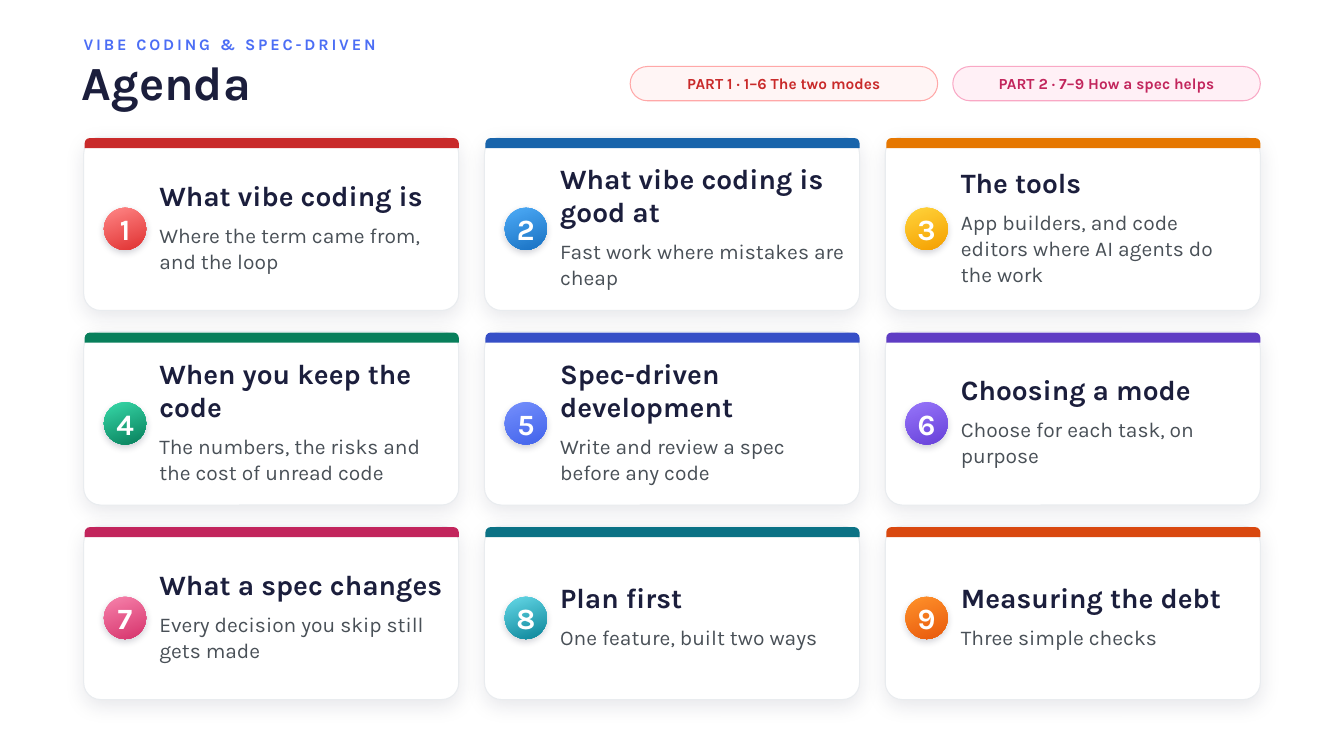
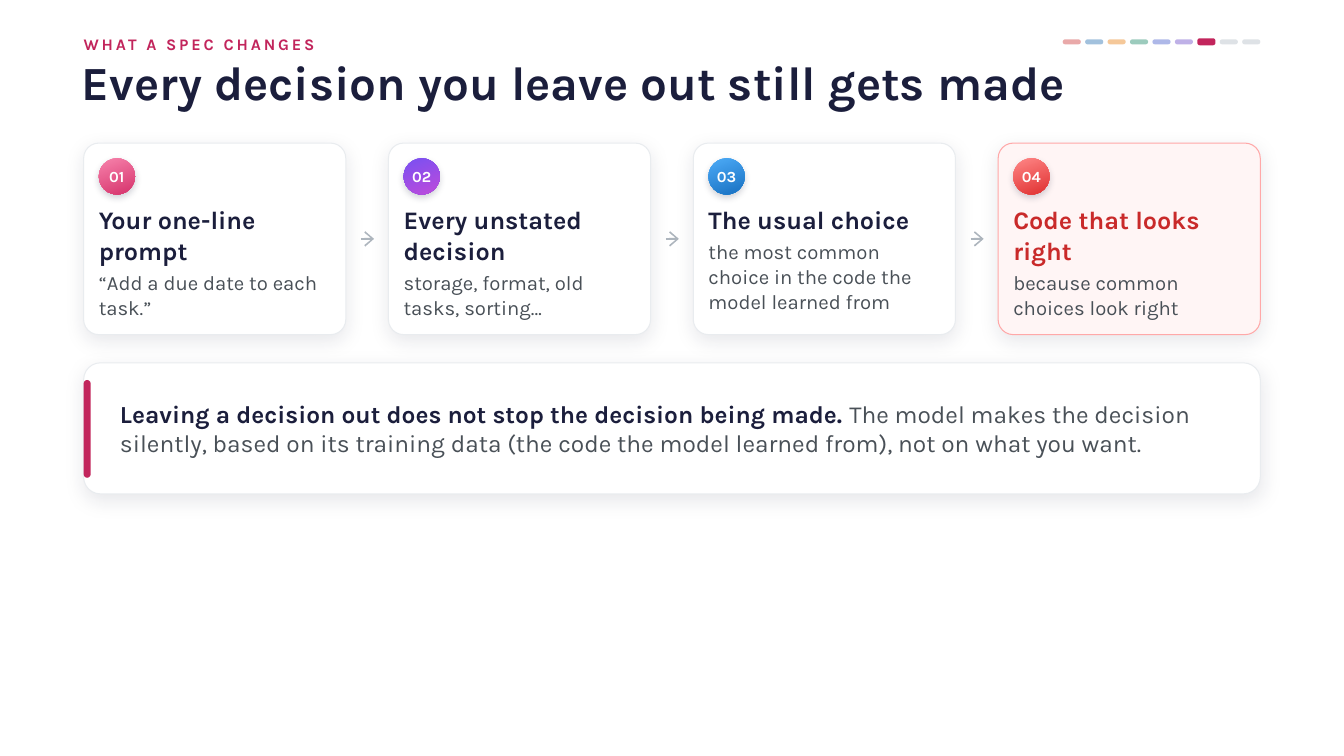
"""Build the agenda slide and the slide about decisions a spec leaves out."""
from collections import namedtuple

from lxml import etree
from pptx import Presentation
from pptx import util as u
from pptx.dml.color import RGBColor
from pptx.enum import shapes, text
from pptx.oxml.ns import qn

FONT = "Karla"
INK, GREY, WHITE = "1B1E3C", "495057", "FFFFFF"
EDGE, IDLE, ARROW = "E9ECEF", "DEE2E6", "ADB5BD"
ACCENT, PINK, RED = "4C6EF5", "C2255C", "C92A2A"
RED_TINT, RED_EDGE, PINK_TINT, PINK_EDGE = "FFF5F5", "FFA8A8", "FFF0F6", "F9A8C5"
LEFT, WIDTH = 0.83, 11.67
CARD_SHADOW = (10, 14, 4)
BADGE_SHADOW = (20, 5, 2)
SHAPE = shapes.MSO_SHAPE
ANCHOR = text.MSO_ANCHOR
CENTER = text.PP_ALIGN.CENTER

Topic = namedtuple("Topic", "title note bar light dark")
Step = namedtuple("Step", "title note light dark color fill edge", defaults=(INK, WHITE, EDGE))

TOPICS = [
    Topic("What vibe coding is", "Where the term came from, and the loop",
          RED, "FF8787", "E03131"),
    Topic("What vibe coding is good at", "Fast work where mistakes are cheap",
          "1864AB", "4DABF7", "1971C2"),
    Topic("The tools", "App builders, and code editors where AI agents do the work",
          "E67700", "FFD43B", "F59F00"),
    Topic("When you keep the code", "The numbers, the risks and the cost of unread code",
          "087F5B", "38D9A9", "087F5B"),
    Topic("Spec-driven development", "Write and review a spec before any code",
          "364FC7", "748FFC", "4263EB"),
    Topic("Choosing a mode", "Choose for each task, on purpose",
          "5F3DC4", "9775FA", "6741D9"),
    Topic("What a spec changes", "Every decision you skip still gets made",
          PINK, "F783AC", "D6336C"),
    Topic("Plan first", "One feature, built two ways",
          "0B7285", "66D9E8", "0C8599"),
    Topic("Measuring the debt", "Three simple checks",
          "D9480F", "FF922B", "E8590C"),
]

PARTS = [
    ("PART 1 · 1–6 The two modes", RED, RED_TINT, RED_EDGE),
    ("PART 2 · 7–9 How a spec helps", PINK, PINK_TINT, PINK_EDGE),
]

STEPS = [
    Step("Your one-line prompt", "“Add a due date to each task.”", "F783AC", "D6336C"),
    Step("Every unstated decision", "storage, format, old tasks, sorting…", "7950F2", "BE4BDB"),
    Step("The usual choice", "the most common choice in the code the model learned from",
         "4DABF7", "1971C2"),
    Step("Code that looks right", "because common choices look right",
         "FF8787", "E03131", RED, RED_TINT, RED_EDGE),
]


def rgb(code):
    """Turn a hex string into a colour."""
    return RGBColor.from_string(code)


def inches(*lengths):
    """Turn numbers into lengths in inches."""
    return [u.Inches(length) for length in lengths]


def spread(count, size, start=LEFT, total=WIDTH):
    """Give the starts of equal items that fill a span with equal gaps."""
    pitch = (total - size) / (count - 1)
    return [start + index * pitch for index in range(count)]


def style(span, size, color, bold=True):
    """Format one run."""
    span.font.name = FONT
    span.font.size = u.Pt(size)
    span.font.bold = bold
    span.font.color.rgb = rgb(color)


def set_frame(frame, anchor=ANCHOR.MIDDLE):
    """Remove the insets of a text frame, wrap it and anchor it."""
    frame.margin_left = frame.margin_right = frame.margin_top = frame.margin_bottom = 0
    frame.word_wrap = True
    frame.auto_size = text.MSO_AUTO_SIZE.NONE
    frame.vertical_anchor = anchor


def write(para, words, size, color, bold=True, spacing=None, before=None):
    """Fill a paragraph with one formatted run."""
    para.text = words
    style(para.runs[0], size, color, bold)
    if spacing is not None:
        para.line_spacing = spacing
    if before is not None:
        para.space_before = u.Pt(before)


def add_box(page, place, anchor=ANCHOR.MIDDLE):
    """Add an empty text box and return its frame."""
    frame = page.shapes.add_textbox(*inches(*place)).text_frame
    set_frame(frame, anchor)
    return frame


def add_shadow(shape, opacity, blur, distance):
    """Give a shape a soft shadow that falls straight down."""
    effects = shape._element.spPr.find(qn("a:effectLst"))
    shadow = etree.SubElement(effects, qn("a:outerShdw"), blurRad=str(u.Pt(blur)),
                              dist=str(u.Pt(distance)), dir="5400000",
                              algn="ctr", rotWithShape="0")
    tint = etree.SubElement(shadow, qn("a:srgbClr"), val=INK)
    etree.SubElement(tint, qn("a:alpha"), val=str(opacity * 1000))


def add_form(page, kind, place, fill=None, edge=None, adjust=()):
    """Add a preset shape with a plain fill and an optional outline."""
    shape = page.shapes.add_shape(kind, *inches(*place))
    shape.shadow.inherit = False
    for index, value in enumerate(adjust):
        shape.adjustments[index] = value
    if fill:
        shape.fill.solid()
        shape.fill.fore_color.rgb = rgb(fill)
    if edge:
        shape.line.color.rgb = rgb(edge)
        shape.line.width = u.Pt(0.75)
    else:
        shape.line.fill.background()
    return shape


def add_card(page, place, fill=WHITE, edge=EDGE):
    """Add a rounded card with a shadow and a fixed corner radius."""
    radius = 0.167 / min(place[2:]) if place[3] > 1.8 or place[2] < 4 else 0.128
    card = add_form(page, SHAPE.ROUNDED_RECTANGLE, place, fill, edge, [radius * 0.9 if place[3] > 1.8 else radius])
    add_shadow(card, *CARD_SHADOW)


def add_label(shape, words, size, color):
    """Put a centred label in a shape."""
    set_frame(shape.text_frame)
    para = shape.text_frame.paragraphs[0]
    write(para, words, size, color)
    para.alignment = CENTER


def add_badge(page, left, top, diameter, words, size, light, dark):
    """Add a round numbered badge with a gradient."""
    badge = add_form(page, SHAPE.OVAL, (left, top, diameter, diameter))
    badge.fill.gradient()
    badge.fill.gradient_angle = 290
    for stop, code, position in zip(badge.fill.gradient_stops, (light, dark), (0, 1)):
        stop.color.rgb = rgb(code)
        stop.position = position
    add_shadow(badge, *BADGE_SHADOW)
    add_label(badge, words, size, WHITE)


def add_arrow(page, left, top):
    """Add a short arrow that points right."""
    arrow = page.shapes.add_connector(shapes.MSO_CONNECTOR.STRAIGHT,
                                      *inches(left, top, left + 0.13, top))
    arrow.line.color.rgb = rgb(ARROW)
    arrow.line.width = u.Pt(1.32)
    etree.SubElement(arrow.line._get_or_add_ln(), qn("a:tailEnd"),
                     type="arrow", w="lg", len="med")
    etree.SubElement(arrow._element.spPr, qn("a:effectLst"))


def add_page(deck, title, eyebrow, color):
    """Add a slide with its title and the spaced line above it."""
    page = deck.slides.add_slide(deck.slide_layouts.get_by_name("Title Only"))
    heading = page.shapes.title
    heading.left, heading.top, heading.width, heading.height = inches(0.81, 0.54, 11.69, 0.6)
    set_frame(heading.text_frame)
    para = heading.text_frame.paragraphs[0]
    write(para, title, 34, INK, spacing=0.9)
    para.alignment = text.PP_ALIGN.LEFT
    para = add_box(page, (LEFT, 0.32, 9.03, 0.24)).paragraphs[0]
    write(para, eyebrow, 11.5, color)
    para.runs[0]._r.get_or_add_rPr().set("spc", "200")
    return page


def add_topic(page, left, top, number, topic):
    """Add one agenda card."""
    add_card(page, (left, top, 3.72, 1.72))
    add_form(page, SHAPE.ROUND_2_SAME_RECTANGLE, (left + 0.01, top + 0.01, 3.71, 0.1),
             topic.bar, adjust=(0.5, 0))
    add_badge(page, left + 0.2, top + 0.7, 0.42, str(number), 21, topic.light, topic.dark)
    frame = add_box(page, (left + 0.75, top + 0.17, 2.82, 1.44))
    write(frame.paragraphs[0], topic.title, 20, INK, spacing=0.98)
    write(frame.add_paragraph(), topic.note, 15, GREY, False, 1.04, 6)


def add_step(page, left, number, step):
    """Add one card of the chain."""
    add_card(page, (left, 1.42, 2.6, 1.9), step.fill, step.edge)
    add_badge(page, left + 0.15, 1.57, 0.36, f"{number:02}", 11, step.light, step.dark)
    frame = add_box(page, (left + 0.15, 2.02, 2.3, 1.18), ANCHOR.TOP)
    write(frame.paragraphs[0], step.title, 18, step.color, spacing=1.02)
    write(frame.add_paragraph(), step.note, 14.5, GREY, False, 1.02, 3)


def add_progress(page, current):
    """Add one tick per topic: past ones faded, the current one thick."""
    for number, left in enumerate(spread(len(TOPICS), 0.18, 10.54, 1.96), 1):
        color = TOPICS[number - 1].bar if number <= current else IDLE
        active = number == current
        place = (left, 0.38, 0.18, 0.07) if active else (left, 0.39, 0.18, 0.05)
        tick = add_form(page, SHAPE.ROUNDED_RECTANGLE, place, color,
                        adjust=[0.35 if active else 0.5])
        if number < current:
            tint = tick._element.spPr.find(".//" + qn("a:srgbClr"))
            etree.SubElement(tint, qn("a:alpha"), val="40000")


def add_callout(page, lead, rest):
    """Add the wide card with a bar on its left and a bold lead."""
    add_card(page, (LEFT, 3.6, WIDTH, 1.3))
    add_form(page, SHAPE.ROUNDED_RECTANGLE, (LEFT, 3.77, 0.07, 0.97), PINK, adjust=[0.5])
    para = add_box(page, (1.19, 3.7, 11.07, 1.1)).paragraphs[0]
    write(para, lead, 17.5, INK)
    span = para.add_run()
    span.text = rest
    style(span, 17.5, GREY, False)


def build_agenda(deck):
    """Build the agenda slide."""
    page = add_page(deck, "Agenda", "VIBE CODING & SPEC-DRIVEN", ACCENT)
    columns = spread(3, 3.72)
    for index, topic in enumerate(TOPICS):
        row, column = divmod(index, 3)
        add_topic(page, columns[column], 1.36 + row * 1.93, index + 1, topic)
    for left, (words, color, fill, edge) in zip(spread(2, 3.05, 6.25, 6.25), PARTS):
        pill = add_form(page, SHAPE.ROUNDED_RECTANGLE, (left, 0.66, 3.05, 0.34),
                        fill, edge, [0.5])
        add_label(pill, words, 11, color)


def build_decisions(deck):
    """Build the slide about decisions that are left out."""
    page = add_page(deck, "Every decision you leave out still gets made",
                    "WHAT A SPEC CHANGES", PINK)
    add_progress(page, 7)
    for number, (left, step) in enumerate(zip(spread(len(STEPS), 2.6), STEPS), 1):
        add_step(page, left, number, step)
        if number < len(STEPS):
            add_arrow(page, left + 2.75, 2.37)
    add_callout(page, "Leaving a decision out does not stop the decision being made.",
                " The model makes the decision silently, based on its training data "
                "(the code the model learned from), not on what you want.")


def main():
    """Build and save the deck."""
    deck = Presentation()
    deck.slide_width, deck.slide_height = inches(13.33, 7.5)
    build_agenda(deck)
    build_decisions(deck)
    deck.save("out.pptx")


if __name__ == "__main__":
    main()
